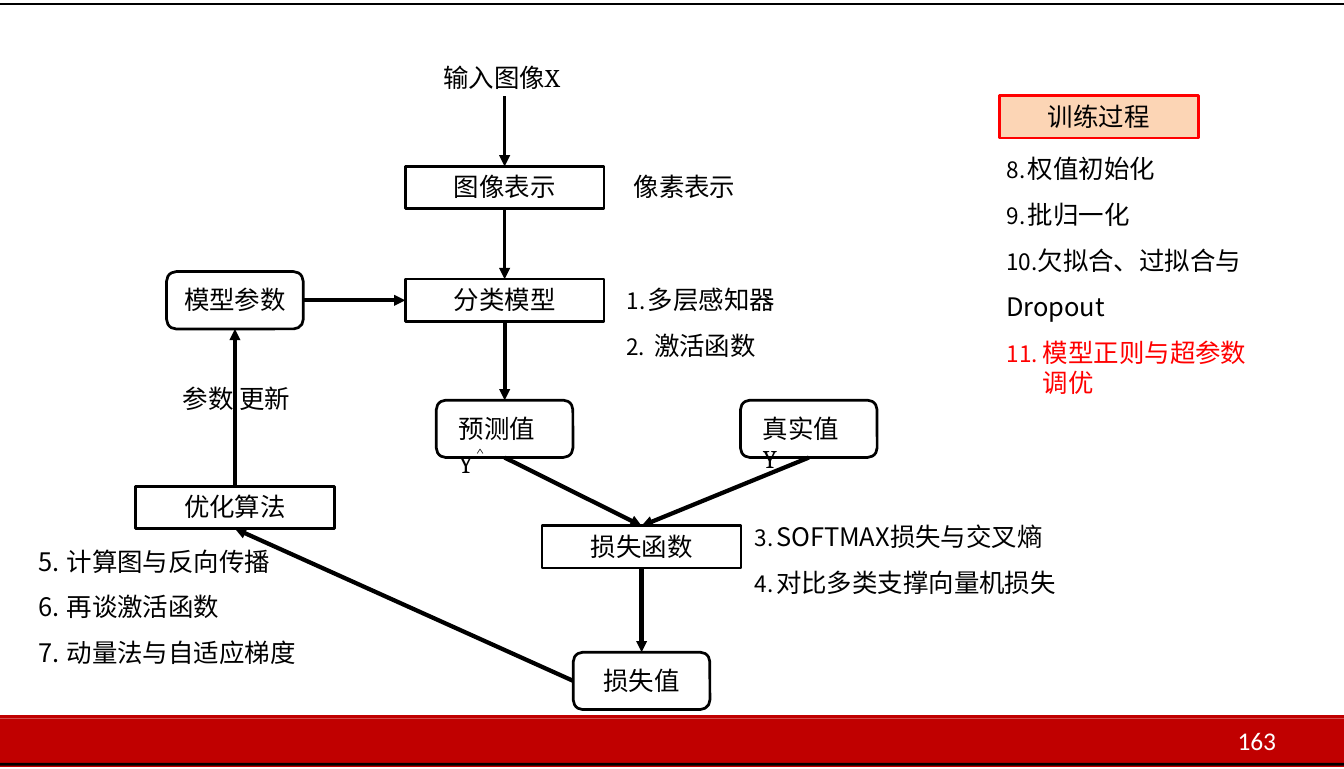
import pptx
import pptx.dml.color
import pptx.enum.shapes
import pptx.enum.text
import pptx.oxml.ns
import pptx.util
from lxml import etree

Pt = pptx.util.Pt
SHAPES = pptx.enum.shapes.MSO_SHAPE
ALIGN = pptx.enum.text.PP_ALIGN

# Content
COLORS = {"black": "000000", "white": "FFFFFF", "red": "FF0000",
          "band": "C00000", "peach": "FCD5B5"}
CJK, SERIF, SANS = "Noto Sans CJK SC", "Cambria", "Calibri"
WIDTH, HEIGHT = 475.92, 272.16
TEXT_SIZE, LINE = 9, 0.96
THIN, THICK = 1, 1.5

# Footer strips: top, height, colour
FOOTER = [(254.2, 17.2, "band"), (253.4, 0.8, "band"),
          (270.7, 0.7, "band"), (270, 1, "black")]

# Node kinds: preset, width, height, top inset
KINDS = {"step": (SHAPES.RECTANGLE, 70.4, 15, 1.7),
         "value": (SHAPES.ROUNDED_RECTANGLE, 48.4, 20.3, 3.5)}

# Nodes: kind, centre x, centre y, runs of (text, font)
NODES = {
    "image": ("step", 178.7, 66.4, [("图像表示", CJK)]),
    "model": ("step", 178.7, 106.3, [("分类模型", CJK)]),
    "predicted": ("value", 178.7, 151.8, [("预测值", CJK), ("Y", SERIF), ("＾", SERIF)]),
    "truth": ("value", 286.4, 151.8, [("真实值", CJK), ("Y", SERIF)]),
    "loss function": ("step", 227.2, 193.6, [("损失函数", CJK)]),
    "loss": ("value", 227.2, 241, [("损失值", CJK)]),
    "parameters": ("value", 83.2, 106.3, [("模型参数", CJK)]),
    "optimizer": ("step", 83.2, 179.6, [("优化算法", CJK)]),
    "training": ("step", 389.1, 41.4, [("训练过程", CJK)]),
}

TOP, LEFT, BOTTOM, RIGHT = range(4)
# Arrows: from node, side, to node, side, weight
ARROWS = [
    ("image", BOTTOM, "model", TOP, THIN),
    ("model", BOTTOM, "predicted", TOP, THICK),
    ("predicted", BOTTOM, "loss function", TOP, THICK),
    ("truth", BOTTOM, "loss function", TOP, THICK),
    ("loss function", BOTTOM, "loss", TOP, THICK),
    ("loss", LEFT, "optimizer", BOTTOM, THICK),
    ("optimizer", TOP, "parameters", BOTTOM, THICK),
    ("parameters", RIGHT, "model", LEFT, THICK),
]
INPUT_ARROW_TOP = 34

# Labels: left, top, width, height, text, font, colour
LABELS = [
    (64.7, 135.4, 42, 13, "参数 更新", CJK, "black"),
    (224.4, 60.5, 40, 13, "像素表示", CJK, "black"),
    (438.2, 256.7, 18, 11, "163", SANS, "white"),
]

# Hanging styles: left margin, first-line indent, tab stop
NARROW, MEDIUM, WIDE = (8.4, -7.5, 8.4), (10.6, -9.9, 10.6), (13.7, -12.8, 13.7)
FLUSH = (0.7, 0, 13.7)
# Topic lists: left, top, width, height, first number, number size in %, items
TOPICS = [
    (221, 94, 60, 35, 1, 89, [("多层感知器", NARROW, "black"),
                              ("激活函数", MEDIUM, "black")]),
    (266.4, 178, 112, 35, 3, 89, [("SOFTMAX损失与交叉熵", NARROW, "black"),
                                  ("对比多类支撑向量机损失", NARROW, "black")]),
    (13, 186.6, 95, 51, 5, 100, [("计算图与反向传播", MEDIUM, "black"),
                                 ("再谈激活函数", MEDIUM, "black"),
                                 ("动量法与自适应梯度", MEDIUM, "black")]),
    (355.6, 47.8, 92, 83, 8, 89, [("权值初始化", NARROW, "black"),
                                  ("批归一化", NARROW, "black"),
                                  ("欠拟合、过拟合与 Dropout", FLUSH, "black"),
                                  ("模型正则与超参数调优", WIDE, "red")]),
]
TOPIC_INSET, TOPIC_GAP = 6.5, 5.4


def rgb(name):
    return pptx.dml.color.RGBColor.from_string(COLORS[name])


def add_xml(parent, tag, **attributes):
    return etree.SubElement(parent, pptx.oxml.ns.qn(tag), attributes)


def add_run(paragraph, text, font=CJK, color="black"):
    run = paragraph.add_run()
    run.text = text
    run.font.size = Pt(TEXT_SIZE)
    run.font.color.rgb = rgb(color)
    run.font.name = font
    add_xml(run._r.get_or_add_rPr(), "a:ea", typeface=font)
    return run


def set_frame(shape, left=0, top=0, right=0):
    frame = shape.text_frame
    frame.word_wrap = True
    frame.auto_size = pptx.enum.text.MSO_AUTO_SIZE.NONE
    frame.vertical_anchor = pptx.enum.text.MSO_ANCHOR.TOP
    frame.margin_left, frame.margin_top = Pt(left), Pt(top)
    frame.margin_right, frame.margin_bottom = Pt(right), 0
    return frame


def add_shape(preset, left, top, width, height, fill=None, line=None):
    shape = slide.shapes.add_shape(preset, Pt(left), Pt(top), Pt(width), Pt(height))
    shape.shadow.inherit = False
    if fill:
        shape.fill.solid()
        shape.fill.fore_color.rgb = rgb(fill)
    else:
        shape.fill.background()
    if line:
        shape.line.color.rgb = rgb(line)
        shape.line.width = Pt(LINE)
    else:
        shape.line.fill.background()
    return shape


def add_line(x1, y1, x2, y2, weight, color="black", arrow=False):
    line = slide.shapes.add_connector(pptx.enum.shapes.MSO_CONNECTOR.STRAIGHT,
                                      Pt(x1), Pt(y1), Pt(x2), Pt(y2))
    line.line.color.rgb = rgb(color)
    line.line.width = Pt(weight)
    if arrow:
        add_xml(line.line._get_or_add_ln(), "a:tailEnd", type="triangle", w="sm", len="sm")
    add_xml(line._element.spPr, "a:effectLst")
    return line


deck = pptx.Presentation()
deck.slide_width, deck.slide_height = Pt(WIDTH), Pt(HEIGHT)
slide = deck.slides.add_slide(deck.slide_layouts[5])

# Title: the input of the flow
title = slide.shapes.title
title.left, title.top, title.width, title.height = Pt(157), Pt(22), Pt(43.2), Pt(24)
heading = set_frame(title).paragraphs[0]
heading.alignment = ALIGN.LEFT
add_run(heading, "输入图像")
add_run(heading, "X", SERIF)

# Top rule and footer band
add_line(0, 1.4, WIDTH, 1.4, LINE)
add_line(0, 253.4, WIDTH, 253.4, 0.48, "band")
for top, height, color in FOOTER:
    add_shape(SHAPES.RECTANGLE, 0, top, WIDTH, height, color)

# Flow nodes; a value with a symbol wraps at the left
nodes = {}
for key, (kind, x, y, runs) in NODES.items():
    preset, width, height, inset = KINDS[kind]
    highlighted = key == "training"
    node = add_shape(preset, x - width / 2, y - height / 2, width, height,
                     "peach" if highlighted else None,
                     "red" if highlighted else "black")
    wraps = len(runs) > 1
    frame = set_frame(node, 7 if wraps else 0, inset, 8 if wraps else 0)
    name = frame.paragraphs[0]
    name.alignment = ALIGN.LEFT if wraps else ALIGN.CENTER
    for text, font in runs:
        run = add_run(name, text, font)
        if text == "＾":
            run._r.get_or_add_rPr().set("baseline", "60000")
    nodes[key] = node

# Arrows
input_x, image_y = NODES["image"][1:3]
input_arrow = add_line(input_x, INPUT_ARROW_TOP, input_x, image_y, THIN, arrow=True)
input_arrow.end_connect(nodes["image"], TOP)
for source, source_side, target, target_side, weight in ARROWS:
    arrow = add_line(0, 0, 1, 1, weight, arrow=True)
    arrow.begin_connect(nodes[source], source_side)
    arrow.end_connect(nodes[target], target_side)

# Labels and page number
for left, top, width, height, text, font, color in LABELS:
    label = slide.shapes.add_textbox(Pt(left), Pt(top), Pt(width), Pt(height))
    add_run(set_frame(label).paragraphs[0], text, font, color)

# Numbered topics
for left, top, width, height, start, number_size, items in TOPICS:
    topic_box = slide.shapes.add_textbox(Pt(left), Pt(top), Pt(width), Pt(height))
    frame = set_frame(topic_box, top=TOPIC_INSET)
    for index, (text, hanging, color) in enumerate(items):
        topic = frame.add_paragraph() if index else frame.paragraphs[0]
        margin, indent, tab = hanging
        properties = topic._p.get_or_add_pPr()
        properties.set("marL", str(Pt(margin)))
        properties.set("indent", str(Pt(indent)))
        add_xml(properties, "a:buSzPct", val=str(number_size * 1000))
        add_xml(properties, "a:buAutoNum", type="arabicPeriod", startAt=str(start))
        add_xml(add_xml(properties, "a:tabLst"), "a:tab", pos=str(Pt(tab)), algn="l")
        if hanging == FLUSH:
            topic.line_spacing = 1.5
        elif index:
            topic.space_before = Pt(TOPIC_GAP)
        add_run(topic, text, color=color)

deck.save("out.pptx")
